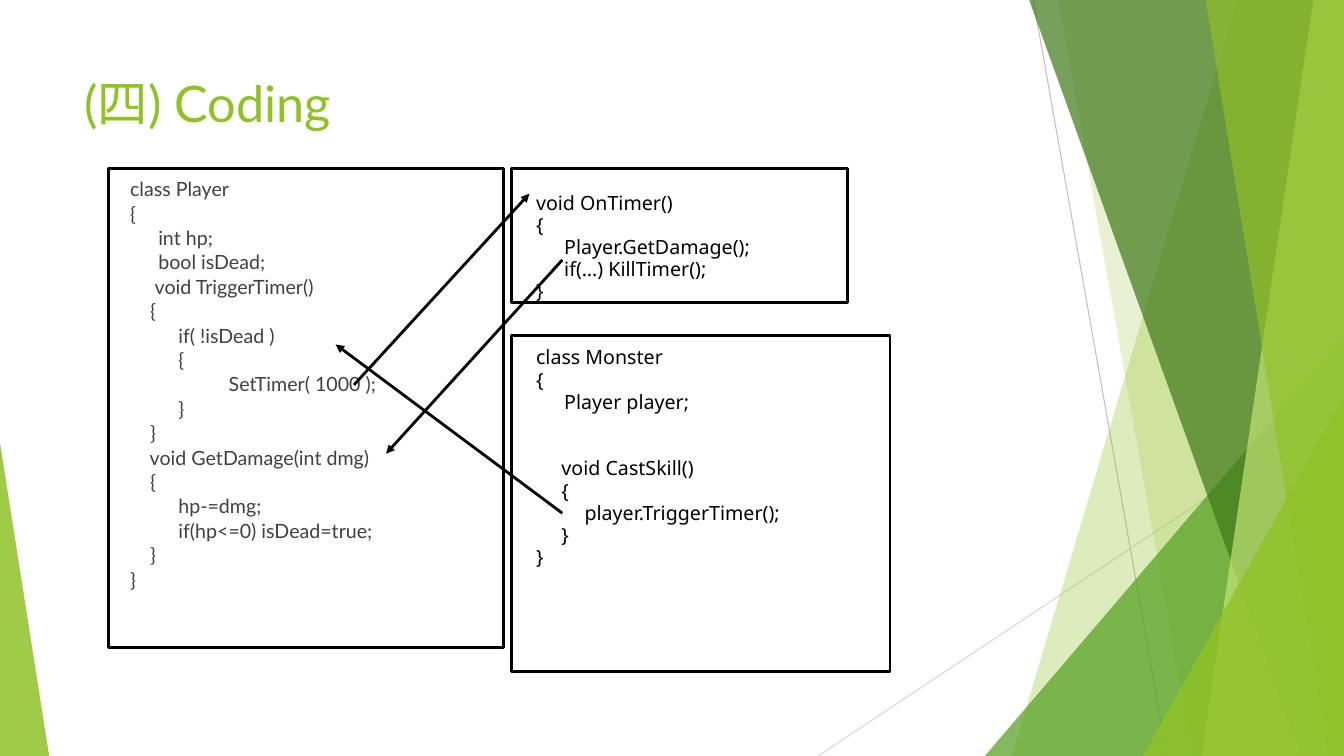
from dataclasses import dataclass

from lxml.etree import SubElement
from pptx import Presentation
from pptx.dml.color import RGBColor
from pptx.enum.shapes import MSO_CONNECTOR, MSO_SHAPE
from pptx.enum.text import MSO_ANCHOR, PP_ALIGN
from pptx.oxml.ns import qn
from pptx.util import Cm, Pt


@dataclass(frozen=True)
class Theme:
    green: str = "90C226"
    mid_green: str = "54A021"
    dark_green: str = "3F7819"
    pale_green: str = "C0E474"
    grey: str = "404040"
    black: str = "000000"
    title_font: str = "Lato"
    code_font: str = "Noto Sans"
    title_size: int = 36
    code_size: int = 14
    code_gap: int = 4
    stroke: float = 2


THEME = Theme()
WIDTH, HEIGHT = 33.87, 19.05

PLAYER_CODE = """class Player
{
\tint hp;
\tbool isDead;
     void TriggerTimer()
    {
\t    if( !isDead )
\t    {
\t\t    SetTimer( 1000 );
\t    }
    }
    void GetDamage(int dmg)
    {
\t    hp-=dmg;
\t    if(hp<=0) isDead=true;
    }
}"""

TIMER_CODE = """void OnTimer()
{
\tPlayer.GetDamage();
\tif(…) KillTimer();
}"""

MONSTER_CODE = """class Monster
{
\tPlayer player;
     void CastSkill()
     {
\t    player.TriggerTimer();
     }
}"""


def paint(shape, color, opacity):
    """Fill a decoration with a translucent colour and no outline."""
    shape.shadow.inherit = False
    shape.line.fill.background()
    shape.fill.solid()
    shape.fill.fore_color.rgb = RGBColor.from_string(color)
    color_element = shape._element.spPr.find(qn("a:solidFill"))[0]
    SubElement(color_element, qn("a:alpha"), val=str(opacity * 1000))


def add_ribbon(page, top_left, bottom_left, color, opacity):
    """Band running from a slanted left edge to the right side of the page."""
    builder = page.shapes.build_freeform(Cm(top_left), Cm(-0.02))
    corners = [(WIDTH, -0.02), (WIDTH, HEIGHT), (bottom_left, HEIGHT)]
    builder.add_line_segments([(Cm(x), Cm(y)) for x, y in corners], close=True)
    paint(builder.convert_to_shape(), color, opacity)


def add_corner(page, left, top, width, apex, color, opacity):
    """Triangle standing on the bottom edge of the page."""
    shape = page.shapes.add_shape(MSO_SHAPE.ISOSCELES_TRIANGLE, Cm(left), Cm(top),
                                  Cm(width), Cm(HEIGHT - top))
    shape.adjustments[0] = apex
    paint(shape, color, opacity)


def add_line(page, start, end, color, weight, arrow=False):
    line = page.shapes.add_connector(MSO_CONNECTOR.STRAIGHT, Cm(start[0]), Cm(start[1]),
                                     Cm(end[0]), Cm(end[1]))
    line.line.color.rgb = RGBColor.from_string(color)
    line.line.width = Pt(weight)
    if arrow:
        SubElement(line.line._get_or_add_ln(), qn("a:tailEnd"), type="triangle")
    SubElement(line._element.spPr, qn("a:effectLst"))


def add_frame(page, left, top, width, height):
    frame = page.shapes.add_shape(MSO_SHAPE.RECTANGLE, Cm(left), Cm(top),
                                  Cm(width), Cm(height))
    frame.shadow.inherit = False
    frame.fill.background()
    frame.line.color.rgb = RGBColor.from_string(THEME.black)
    frame.line.width = Pt(THEME.stroke)


def add_text(page, left, top, width, height, text, font, size, color):
    """Text box with one paragraph per line; returns the paragraphs."""
    box = page.shapes.add_textbox(Cm(left), Cm(top), Cm(width), Cm(height))
    frame = box.text_frame
    frame.word_wrap = True
    frame.vertical_anchor = MSO_ANCHOR.TOP
    frame.text = text
    for para in frame.paragraphs:
        para.alignment = PP_ALIGN.LEFT
        para.font.name = font
        para.font.size = Pt(size)
        para.font.color.rgb = RGBColor.from_string(color)
    return frame.paragraphs


def add_code(page, left, top, height, code, font, color, spacing):
    """Code listing with hanging indents; returns its paragraphs."""
    paras = add_text(page, left, top, 11.23, height, code, font, THEME.code_size, color)
    for index, para in enumerate(paras):
        properties = para._p.get_or_add_pPr()
        properties.set("marL", str(Cm(1.02)))
        properties.set("indent", str(Cm(-0.71)))
        properties.set("defTabSz", str(Cm(1.27)))
        para.line_spacing = spacing
        if index:
            para.space_before = Pt(THEME.code_gap)
    return paras


def add_background(page):
    add_line(page, (26.04, 0), (29.41, HEIGHT), "BFBFBF", 0.75)
    add_line(page, (WIDTH, 10.24), (20.62, HEIGHT), "D9D9D9", 0.75)
    add_ribbon(page, 31.19, 25.5, THEME.green, 30)
    add_ribbon(page, 26.67, 30.05, THEME.green, 20)
    add_corner(page, 24.82, 8.46, 9.05, 1, THEME.mid_green, 72)
    add_ribbon(page, 25.93, 32.79, THEME.dark_green, 70)
    add_ribbon(page, 33.1, 30.28, THEME.pale_green, 70)
    add_ribbon(page, 30.38, 33.48, THEME.green, 65)
    add_corner(page, 28.8, 9.98, 5.07, 1, THEME.green, 80)
    add_corner(page, 0, 11.15, 1.24, 0, THEME.green, 85)


def main():
    deck = Presentation()
    deck.slide_width, deck.slide_height = Cm(WIDTH), Cm(HEIGHT)
    page = deck.slides.add_slide(deck.slide_layouts[6])
    add_background(page)

    # Title and code listings
    add_text(page, 1.88, 1.7, 23.88, 3.66, "(四) Coding",
             THEME.title_font, THEME.title_size, THEME.green)
    add_code(page, 2.72, 4.45, 12.57, PLAYER_CODE, THEME.title_font, THEME.grey, 0.8)
    add_code(page, 12.95, 4.85, 3.6, TIMER_CODE, THEME.code_font, THEME.black, 0.7)
    monster = add_code(page, 12.95, 8.74, 8.68, MONSTER_CODE,
                       THEME.code_font, THEME.black, 0.7)
    monster[3].space_before = Pt(36)  # gap between the field and the method

    # Frames around the listings
    add_frame(page, 12.9, 8.46, 9.53, 8.46)
    add_frame(page, 2.74, 4.24, 9.96, 12.07)
    add_frame(page, 12.9, 4.24, 8.46, 3.38)

    # Call arrows: skill to trigger, timer start to callback, callback to damage
    for start, end in (((14.17, 12.93), (8.46, 8.68)),
                       ((8.92, 9.7), (13.34, 4.88)),
                       ((14.17, 6.55), (9.73, 11.43))):
        add_line(page, start, end, THEME.black, THEME.stroke, arrow=True)

    deck.save("out.pptx")


if __name__ == "__main__":
    main()
